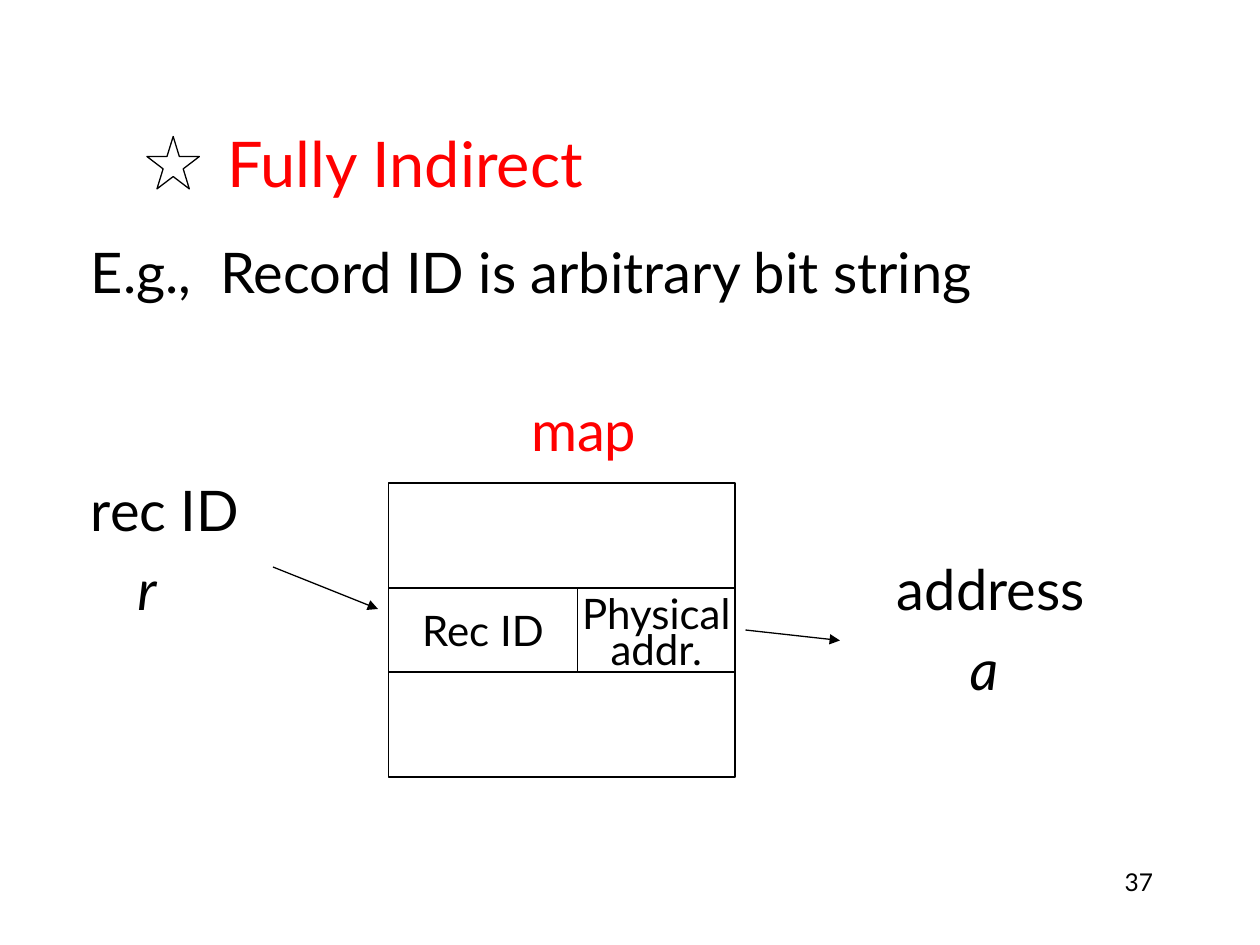
from pptx import Presentation
from pptx.dml.color import RGBColor as RGB
from pptx.enum.shapes import MSO_CONNECTOR as Conn, MSO_SHAPE as Kind
from pptx.enum.text import MSO_ANCHOR as Anchor, PP_ALIGN as Align
from pptx.oxml.ns import qn
from pptx.util import Pt
from lxml.etree import SubElement


class Theme:
    font = "Lato"
    ink = RGB(0, 0, 0)
    red = RGB(255, 0, 0)
    paper = RGB(255, 255, 255)
    title, body, cell, small = 36, 32, 24, 14
    line = 0.75


# Content: labels are (text, left, row, width, format)
TITLE = "Fully Indirect"
LABELS = [
    ("E.g.,  Record ID is arbitrary bit string", 52, 0, 600, {}),
    ("map", 303.5, 2, 100, {"color": Theme.red}),
    ("rec ID", 52, 3, 130, {}),
    ("r", 78.5, 4, 60, {"italic": True}),
    ("address", 512.5, 4, 150, {}),
    ("a", 554, 5, 60, {"italic": True}),
]
KEY, ADDR = ["Rec ID"], ["Physical", "addr."]
NUMBER = "37"

# Geometry
TOP, PITCH = 135.5, 45.4
MAP_X, MAP_Y, MAP_W, MAP_H = 222, 276, 198, 168
KEY_W, ROW_Y, ROW_H = 108, 336, 48
ARROWS = [(156, 324, 216, 348), (426, 360, 480, 366)]

prs = Presentation()
prs.slide_width, prs.slide_height = Pt(720), Pt(540)
slide = prs.slides.add_slide(prs.slide_layouts[5])
shapes = slide.shapes


def write(frame, lines, size=Theme.body, color=Theme.ink, italic=False,
          align=Align.LEFT, anchor=Anchor.TOP, inset=(0, 0), wrap=True, lead=None):
    """Fill a frame; lead is the line spacing of every line after the first."""
    frame.word_wrap = wrap
    frame.vertical_anchor = anchor
    frame.margin_left = frame.margin_right = Pt(inset[0])
    frame.margin_top = frame.margin_bottom = Pt(inset[1])
    for i, text in enumerate(lines):
        para = frame.paragraphs[0] if i == 0 else frame.add_paragraph()
        para.alignment = align
        if i and lead:
            para.line_spacing = lead
        run = para.add_run()
        run.text = text
        font = run.font
        font.name, font.size, font.italic = Theme.font, Pt(size), italic
        font.color.rgb = color


def label(text, x, y, w, h, **form):
    box = shapes.add_textbox(Pt(x), Pt(y), Pt(w), Pt(h))
    write(box.text_frame, [text], **form)


def draw(kind, x, y, w, h, lines=()):
    shape = shapes.add_shape(kind, Pt(x), Pt(y), Pt(w), Pt(h))
    shape.shadow.inherit = False
    shape.fill.solid()
    shape.fill.fore_color.rgb = Theme.paper
    shape.line.color.rgb = Theme.ink
    shape.line.width = Pt(Theme.line)
    if lines:
        write(shape.text_frame, lines, size=Theme.cell, align=Align.CENTER,
              anchor=Anchor.MIDDLE, wrap=False, lead=0.7)


def arrow(x1, y1, x2, y2):
    link = shapes.add_connector(Conn.STRAIGHT, Pt(x1), Pt(y1), Pt(x2), Pt(y2))
    link.line.color.rgb = Theme.ink
    link.line.width = Pt(Theme.line)
    SubElement(link.line._get_or_add_ln(), qn("a:tailEnd"), type="triangle")
    SubElement(link._element.spPr, qn("a:effectLst"))


# Title and its star
head = shapes.title
head.left, head.top, head.width, head.height = Pt(54), Pt(48), Pt(612), Pt(90)
write(head.text_frame, [TITLE], size=Theme.title, color=Theme.red,
      anchor=Anchor.MIDDLE, inset=(76, 3.6))
draw(Kind.STAR_5_POINT, 84, 78, 30, 30)

# Labels on the line grid
for text, x, row, w, form in LABELS:
    label(text, x, TOP + row * PITCH, w, PITCH, **form)

# Map with one entry
draw(Kind.RECTANGLE, MAP_X, MAP_Y, MAP_W, MAP_H)
draw(Kind.RECTANGLE, MAP_X + KEY_W, ROW_Y, MAP_W - KEY_W, ROW_H, ADDR)
draw(Kind.RECTANGLE, MAP_X, ROW_Y, KEY_W, ROW_H, KEY)
for ends in ARROWS:
    arrow(*ends)

# Slide number
label(NUMBER, 516, 492, 150, 36, size=Theme.small, align=Align.RIGHT,
      inset=(7.2, 3.6))

prs.save("out.pptx")
